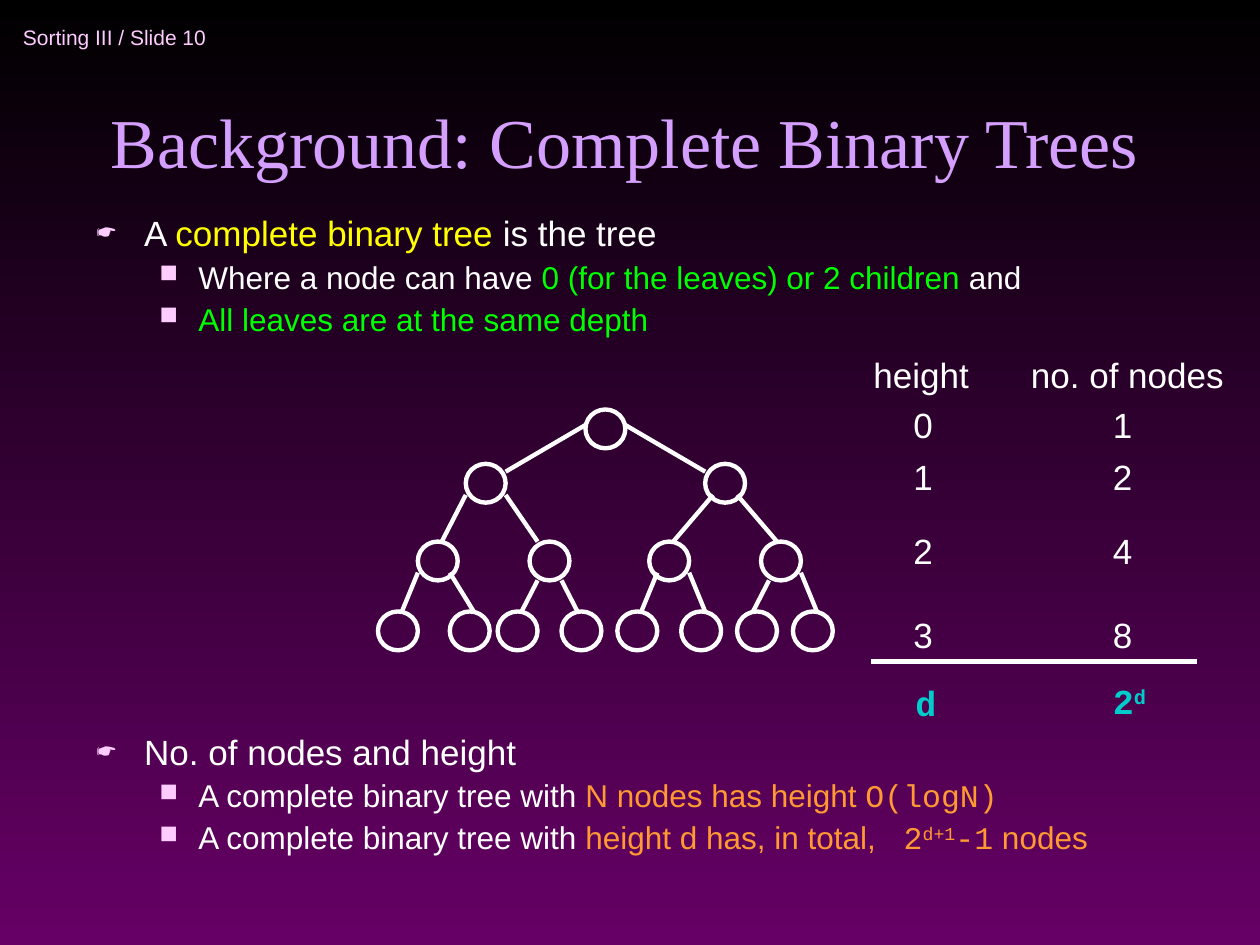
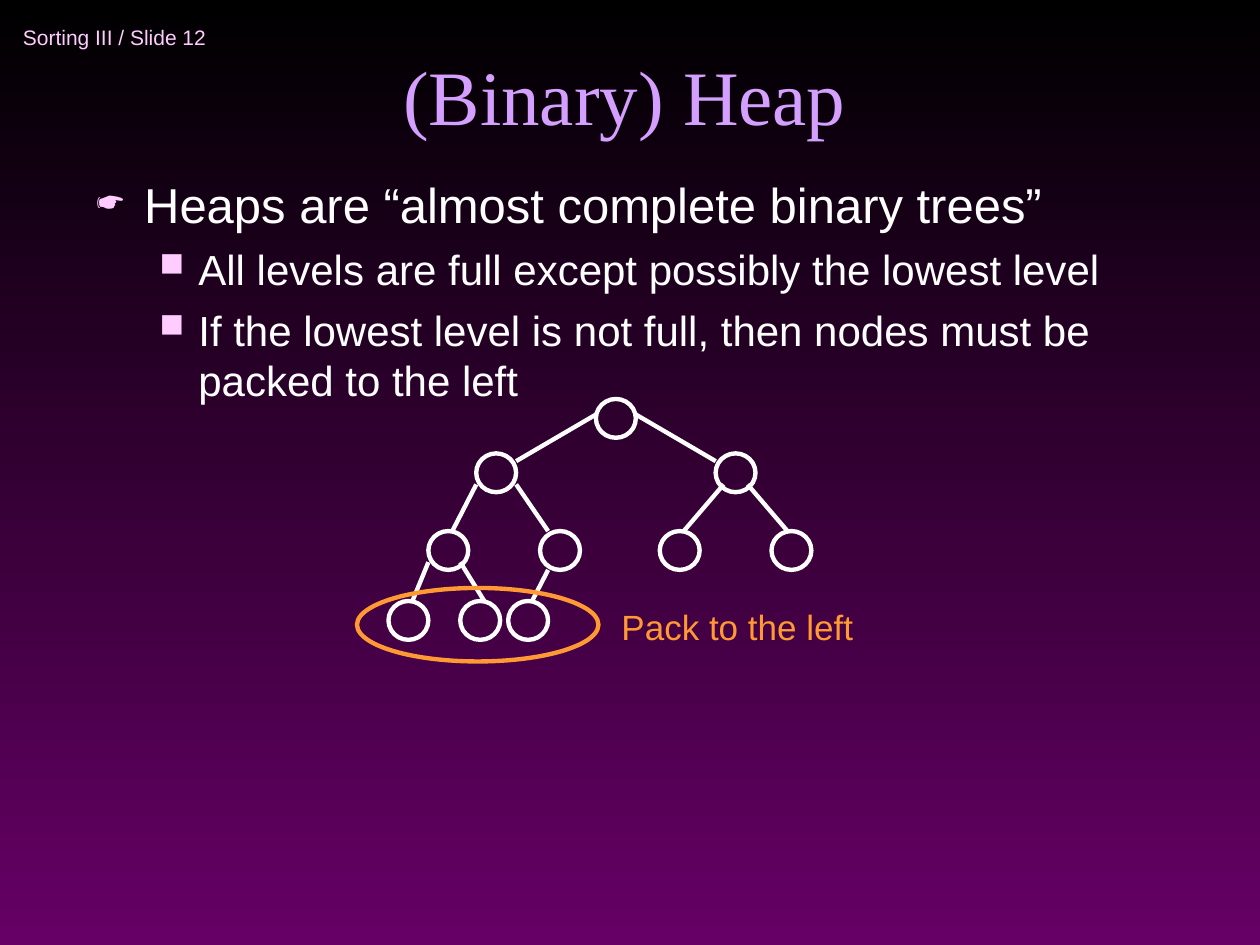
import dataclasses

import lxml.etree
import pptx
import pptx.dml.color
import pptx.enum.shapes
import pptx.enum.text
import pptx.oxml.ns
import pptx.util

COLS, ROWS = 120, 90
TREE_COL, TREE_ROW = 0.76, 0.74
NODE = 5
NODES = [
    (26, 0),
    (11, 7), (41, 7),
    (5, 17), (19, 17), (34, 17), (48, 17),
    (0, 26), (9, 26), (15, 26), (23, 26), (30, 26), (38, 26), (45, 26), (52, 26),
]
EDGES = [
    (26, 2, 16, 8), (31, 2, 41, 8),
    (11, 11, 8, 17), (16, 11, 20, 17), (42, 11, 37, 17), (45, 11, 50, 17),
    (5, 21, 3, 26), (9, 21, 12, 26), (20, 22, 18, 26), (23, 22, 25, 26),
    (35, 21, 33, 26), (39, 21, 41, 26), (49, 22, 47, 26), (53, 21, 55, 26),
]


@dataclasses.dataclass(frozen=True)
class Theme:
    top: str = "000000"
    base: str = "660066"
    title: str = "D49FFF"
    mark: str = "FFCCFF"
    text: str = "FFFFFF"
    term: str = "FFFF00"
    rule: str = "00FF00"
    note: str = "FF9933"
    sum: str = "00CCCC"
    sans: str = "Arial"
    serif: str = "Times New Roman"
    mono: str = "Courier New"
    head: int = 12
    label: int = 20
    line: float = 2.5
    bullets: tuple = (("☛", 75, 0.38, 0.38), ("■", 80, 0.81, 0.31))


def rgb(code):
    return pptx.dml.color.RGBColor.from_string(code)


def style(font, color=None, face=None, size=None, bold=None):
    if color:
        font.color.rgb = rgb(color)
    if face:
        font.name = face
    if size:
        font.size = pptx.util.Pt(size)
    if bold is not None:
        font.bold = bold


def add_run(para, text, color=None, face=None, lift=0):
    run = para.add_run()
    run.text = text
    style(run.font, color, face)
    if lift:
        run._r.get_or_add_rPr().set("baseline", str(lift * 1000))


def add_runs(para, parts):
    for part in parts:
        add_run(para, *((part,) if isinstance(part, str) else part))


class Deck:
    """Hold the theme and the current slide, and draw each kind of element."""

    def __init__(self, theme):
        self.theme = theme
        self.show = pptx.Presentation()
        self.show.slide_width = pptx.util.Inches(10)
        self.show.slide_height = pptx.util.Inches(7.5)
        fill = self.show.slide_master.background.fill
        fill.gradient()
        fill.gradient_angle = 270
        for stop, color, place in zip(fill.gradient_stops, (theme.top, theme.base), (0, 1)):
            stop.color.rgb = rgb(color)
            stop.position = place

    def cells(self, *spots):
        sides = (self.show.slide_width / COLS, self.show.slide_height / ROWS)
        return [round(spot * sides[i % 2]) for i, spot in enumerate(spots)]

    def start(self, number, title, row, size):
        self.slide = self.show.slides.add_slide(self.show.slide_layouts[5])
        self.label((1, 1, 33, 5), [f"Sorting III / Slide {number}"],
                   self.theme.mark, size=self.theme.head)
        shape = self.slide.shapes.title
        shape.left, shape.top, shape.width, shape.height = self.cells(8, row, 103, 15)
        frame = shape.text_frame
        frame.text = title
        frame.auto_size = pptx.enum.text.MSO_AUTO_SIZE.NONE
        frame.vertical_anchor = pptx.enum.text.MSO_ANCHOR.BOTTOM
        para = frame.paragraphs[0]
        para.alignment = pptx.enum.text.PP_ALIGN.CENTER
        style(para.font, self.theme.title, self.theme.serif, size)

    def frame(self, box):
        frame = self.slide.shapes.add_textbox(*self.cells(*box)).text_frame
        frame.word_wrap = True
        return frame

    def label(self, box, parts, color=None, face=None, size=None, bold=None):
        frame = self.frame(box)
        frame.vertical_anchor = pptx.enum.text.MSO_ANCHOR.MIDDLE
        para = frame.paragraphs[0]
        style(para.font, color or self.theme.text, face or self.theme.sans,
              size or self.theme.label, bold)
        add_runs(para, parts)

    def bullet(self, para, level):
        mark, share, left, hang = self.theme.bullets[level]
        props = para._p.get_or_add_pPr()
        props.set("marL", str(pptx.util.Inches(left)))
        props.set("indent", str(-pptx.util.Inches(hang)))
        name = pptx.oxml.ns.qn
        color = lxml.etree.SubElement(props, name("a:buClr"))
        lxml.etree.SubElement(color, name("a:srgbClr"), val=self.theme.mark)
        lxml.etree.SubElement(props, name("a:buSzPct"), val=str(share * 1000))
        lxml.etree.SubElement(props, name("a:buChar"), char=mark)

    def body(self, box, items, sizes, pitch=1.0):
        frame = self.frame(box)
        for i, (level, parts, *gap) in enumerate(items):
            para = frame.add_paragraph() if i else frame.paragraphs[0]
            para.level = level
            self.bullet(para, level)
            para.line_spacing = pitch
            if i:
                para.space_before = pptx.util.Pt(gap[0] if gap else sizes[level] / 4)
            style(para.font, self.theme.text, self.theme.sans, sizes[level])
            add_runs(para, parts)

    def stroke(self, line, color=None):
        line.color.rgb = rgb(color or self.theme.text)
        line.width = pptx.util.Pt(self.theme.line)

    def ring(self, box, color=None, shapes=None):
        kind = pptx.enum.shapes.MSO_SHAPE.OVAL
        ring = (shapes or self.slide.shapes).add_shape(kind, *self.cells(*box))
        ring.shadow.inherit = False
        ring.fill.background()
        self.stroke(ring.line, color)

    def link(self, ends, shapes=None):
        kind = pptx.enum.shapes.MSO_CONNECTOR.STRAIGHT
        link = (self.slide.shapes if shapes is None else shapes).add_connector(
            kind, *self.cells(*ends))
        self.stroke(link.line)
        lxml.etree.SubElement(link._element.spPr, pptx.oxml.ns.qn("a:effectLst"))

    def tree(self, col, row, count):
        shapes = self.slide.shapes.add_group_shape().shapes
        for x, y in NODES[:count]:
            self.ring((col + x * TREE_COL, row + y * TREE_ROW,
                       NODE * TREE_COL, NODE * TREE_ROW), shapes=shapes)
        for x, y, to_x, to_y in EDGES[:count - 1]:
            self.link((col + x * TREE_COL, row + y * TREE_ROW,
                       col + to_x * TREE_COL, row + to_y * TREE_ROW), shapes)


def full(deck):
    look = deck.theme
    deck.start(10, "Background: Complete Binary Trees", 3, 40)
    deck.body((8, 20, 103, 63), [
        (0, ["A ", ("complete binary tree", look.term), " is the tree"]),
        (1, ["Where a node can have ",
             ("0 (for the leaves) or 2 children", look.rule), " and"]),
        (1, [("All leaves are at the same depth", look.rule)]),
        (0, ["No. of nodes and height"], 227),
        (1, ["A complete binary tree with ", ("N nodes has height ", look.note),
             ("O(logN)", look.note, look.mono)]),
        (1, ["A complete binary tree with ", ("height d has, in total, ", look.note),
             (" 2", look.note, look.mono), ("d+1", look.note, look.mono, 30),
             ("-1", look.note, look.mono), (" nodes", look.note)]),
    ], (20, 18), 0.9)
    deck.tree(36, 39, len(NODES))
    deck.label((82, 33, 13, 5.25), ["height"])
    deck.label((97, 33, 22, 5.25), ["no. of nodes"])
    for depth, row in enumerate((37.8, 42.8, 49.8, 57.8)):
        deck.label((85.8, row, 5, 5.25), [str(depth)])
        deck.label((104.8, row, 5, 5.25), [str(2 ** depth)])
    deck.link((83, 63, 114, 63))
    deck.label((86, 64.3, 5, 5.25), ["d"], look.sum, look.mono, bold=True)
    deck.label((104.8, 64.1, 7, 5.25), ["2", ("d", None, None, 30)],
               look.sum, look.mono, bold=True)


def heap(deck):
    look = deck.theme
    deck.start(12, "(Binary) Heap", -1, 44)
    deck.body((8, 16, 103, 66), [
        (0, ["Heaps are “almost complete binary trees”"]),
        (1, ["All levels are full except possibly the lowest level"]),
        (1, ["If the lowest level is not full, then nodes must be packed to the left"]),
    ], (28, 24))
    deck.tree(37, 38, 10)
    deck.ring((34, 56, 23, 7), look.note)
    deck.label((58, 57, 26, 5.25), ["Pack to the left"], look.note)


def main():
    deck = Deck(Theme())
    full(deck)
    heap(deck)
    deck.show.save("out.pptx")


if __name__ == "__main__":
    main()
